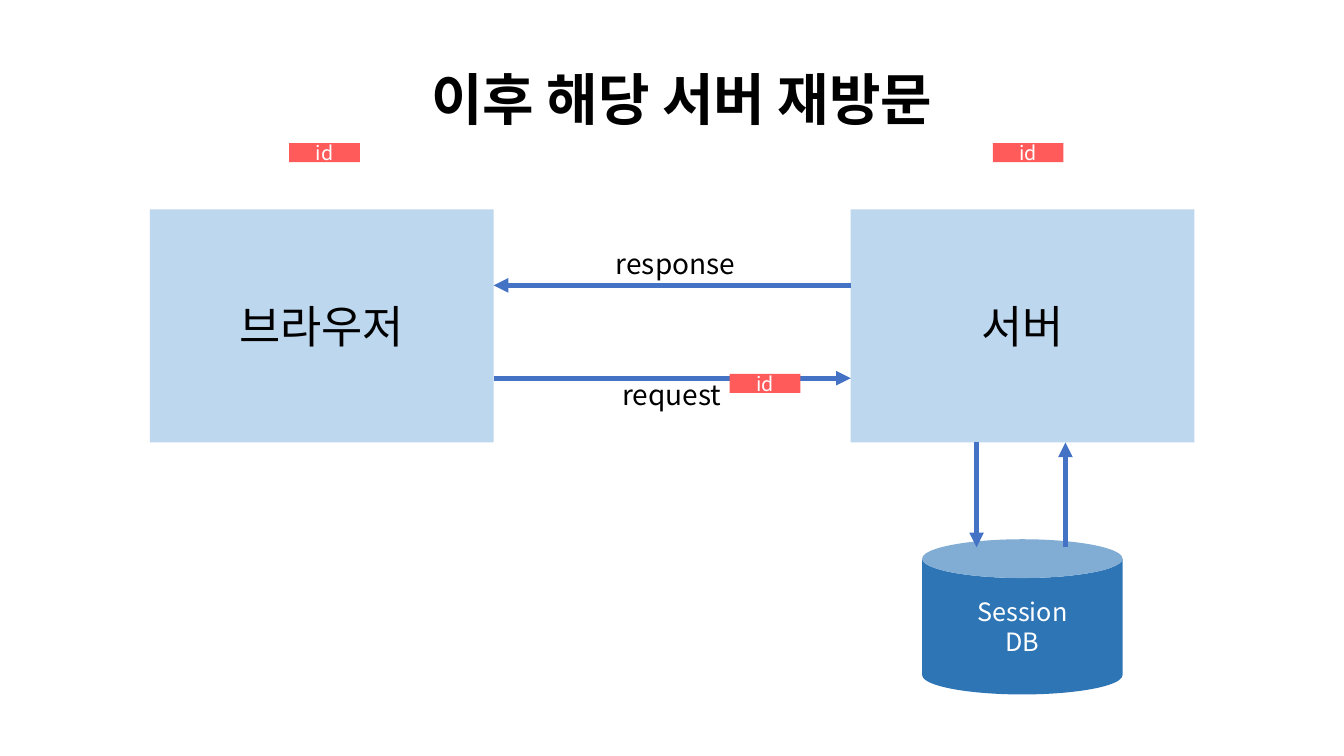
from lxml.etree import SubElement
from pptx import Presentation
from pptx.dml.color import RGBColor
from pptx.enum.shapes import MSO_CONNECTOR, MSO_SHAPE
from pptx.enum.text import MSO_ANCHOR, MSO_AUTO_SIZE, PP_ALIGN
from pptx.oxml.ns import qn
from pptx.util import Cm, Pt

BLACK = RGBColor(0x00, 0x00, 0x00)
WHITE = RGBColor(0xFF, 0xFF, 0xFF)
PALE_BLUE = RGBColor(0xBD, 0xD7, 0xEE)
DEEP_BLUE = RGBColor(0x2E, 0x75, 0xB6)
ARROW_BLUE = RGBColor(0x44, 0x72, 0xC4)
RED = RGBColor(0xFF, 0x5B, 0x5B)


class SessionDiagram:
    """Hold the shared style and the slide, and draw each kind of element."""

    font_name = "Noto Sans CJK KR"
    frame_format = {
        "word_wrap": True,
        "auto_size": MSO_AUTO_SIZE.NONE,
        "vertical_anchor": MSO_ANCHOR.MIDDLE,
    }

    def __init__(self, presentation):
        """Add the slide with a title layout."""
        self.slide = presentation.slides.add_slide(presentation.slide_layouts[5])

    def fill_text(self, shape, text, size, color, bold=False, spacing=1.0):
        """Fill a shape with centred text, one paragraph per line."""
        frame = shape.text_frame
        for name, value in self.frame_format.items():
            setattr(frame, name, value)
        frame.text = text
        font_format = {"name": self.font_name, "size": Pt(size), "bold": bold}
        paragraph_format = {"alignment": PP_ALIGN.CENTER, "line_spacing": spacing}
        for paragraph in frame.paragraphs:
            for name, value in paragraph_format.items():
                setattr(paragraph, name, value)
            for run in paragraph.runs:
                for name, value in font_format.items():
                    setattr(run.font, name, value)
                run.font.color.rgb = color
                east_asian = SubElement(run.font._element, qn("a:ea"))
                east_asian.set("typeface", self.font_name)

    def title(self, text, left, top, width, height):
        """Place and format the title placeholder."""
        shape = self.slide.shapes.title
        position = {"left": left, "top": top, "width": width, "height": height}
        for name, value in position.items():
            setattr(shape, name, Cm(value))
        self.fill_text(shape, text, 40, BLACK, bold=True, spacing=0.9)

    def block(self, kind, text, box, fill, size, color):
        """Draw a filled shape without outline."""
        shape = self.slide.shapes.add_shape(kind, *map(Cm, box))
        shape.shadow.inherit = False
        shape.fill.solid()
        shape.fill.fore_color.rgb = fill
        shape.line.fill.background()
        self.fill_text(shape, text, size, color)

    def label(self, text, left, top):
        """Add the caption of a horizontal arrow."""
        shape = self.slide.shapes.add_textbox(Cm(left), Cm(top), Cm(8.05), Cm(0.69))
        self.fill_text(shape, text, 20, BLACK, spacing=0.9)

    def arrow(self, *ends):
        """Draw a straight arrow from start x, y to end x, y."""
        connector = self.slide.shapes.add_connector(
            MSO_CONNECTOR.STRAIGHT, *map(Cm, ends)
        )
        connector.line.width = Pt(3.5)
        connector.line.color.rgb = ARROW_BLUE
        properties = connector._element.spPr
        SubElement(properties.get_or_add_ln(), qn("a:tailEnd")).set("type", "triangle")
        SubElement(properties, qn("a:effectLst"))


def main():
    """Build the slide and save it."""
    presentation = Presentation()
    presentation.slide_width = Cm(33.87)
    presentation.slide_height = Cm(19.05)
    diagram = SessionDiagram(presentation)
    diagram.title("이후 해당 서버 재방문", 3.78, 1.32, 26.8, 2.54)

    browser_left, server_left, block_top = 3.78, 21.44, 5.28
    block_width, block_height = 8.66, 5.87
    for text, left in (("브라우저", browser_left), ("서버", server_left)):
        box = (left, block_top, block_width, block_height)
        diagram.block(MSO_SHAPE.RECTANGLE, text, box, PALE_BLUE, 32, BLACK)

    browser_right = browser_left + block_width
    diagram.arrow(browser_right, 9.53, server_left, 9.53)
    diagram.arrow(server_left, 7.19, browser_right, 7.19)
    diagram.label("request", 12.9, 9.65)
    diagram.label("response", 13, 6.35)

    database = (23.24, 13.59, 5.05, 3.91)
    diagram.block(MSO_SHAPE.CAN, "Session\nDB", database, DEEP_BLUE, 18, WHITE)
    block_bottom, database_entry = block_top + block_height, 13.79
    diagram.arrow(24.61, block_bottom, 24.61, database_entry)
    diagram.arrow(26.85, database_entry, 26.85, block_bottom)

    for left, top in ((7.29, 3.61), (25.02, 3.61), (18.39, 9.42)):
        diagram.block(MSO_SHAPE.RECTANGLE, "id", (left, top, 1.78, 0.48), RED, 14, WHITE)

    presentation.save("out.pptx")


if __name__ == "__main__":
    main()
